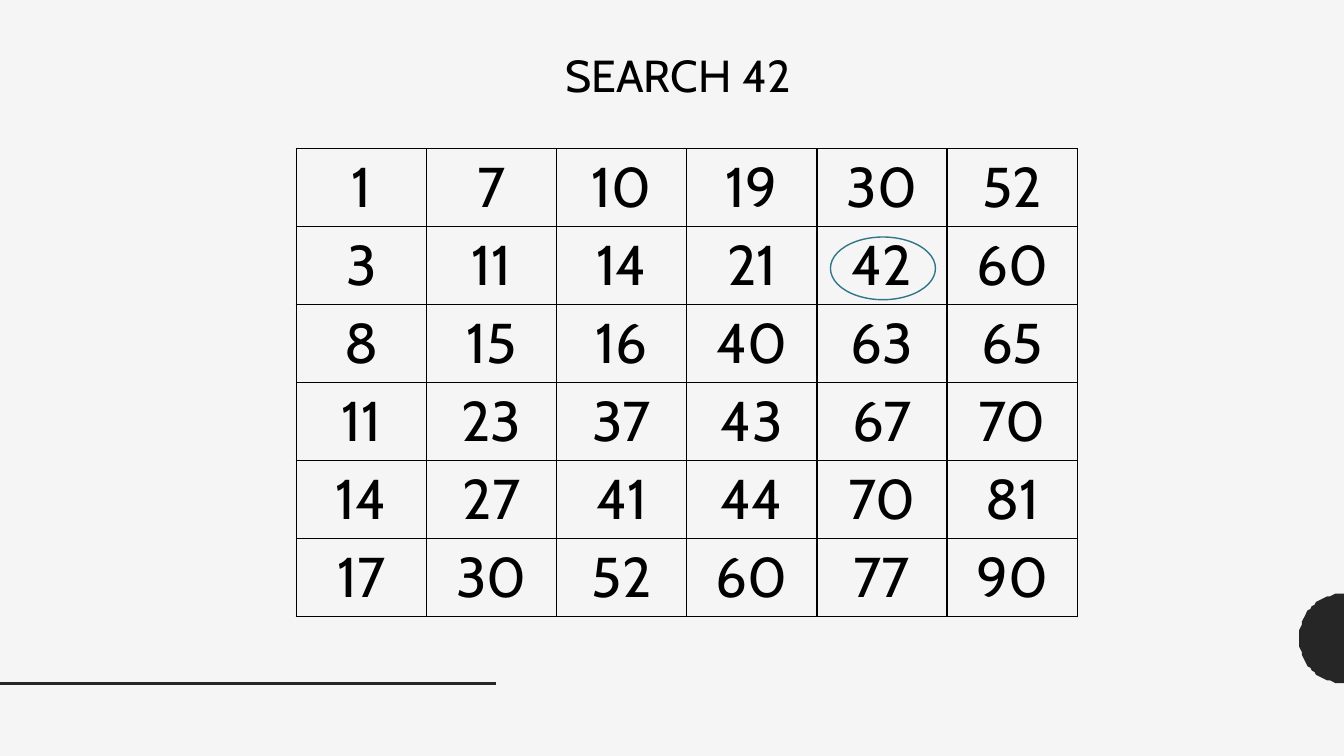
from dataclasses import dataclass
from math import cos, pi, sin

from lxml import etree
from pptx import Presentation
from pptx.dml.color import RGBColor
from pptx.enum import shapes, text
from pptx.oxml import ns
from pptx.util import Pt


@dataclass(frozen=True)
class Theme:
    background: RGBColor = RGBColor.from_string("F5F5F5")
    ink: RGBColor = RGBColor.from_string("000000")
    decoration: RGBColor = RGBColor.from_string("262626")
    highlight: RGBColor = RGBColor.from_string("327587")
    font: str = "Cabin"
    title_size: int = 32
    number_size: int = 40


theme = Theme()


def style_text(paragraph, size):
    for run in paragraph.runs:
        run.font.name = theme.font
        run.font.size = Pt(size)
        run.font.color.rgb = theme.ink


def add_cell_borders(cell):
    properties = cell._tc.get_or_add_tcPr()
    for position, side in enumerate(("lnL", "lnR", "lnT", "lnB")):
        border = etree.Element(ns.qn(f"a:{side}"), w=str(Pt(1)))
        fill = etree.SubElement(border, ns.qn("a:solidFill"))
        etree.SubElement(fill, ns.qn("a:srgbClr"), val=str(theme.ink))
        properties.insert(position, border)


presentation = Presentation()
presentation.slide_width, presentation.slide_height = Pt(960), Pt(540)
slide = presentation.slides.add_slide(presentation.slide_layouts[6])
slide.background.fill.solid()
slide.background.fill.fore_color.rgb = theme.background

# Half disc on the right edge
center_x, center_y, radius, steps = 960, 456, 32.2, 48
arc = [
    (center_x - radius * sin(pi * step / steps), center_y - radius * cos(pi * step / steps))
    for step in range(steps + 1)
]
builder = slide.shapes.build_freeform(*arc[0], scale=Pt(1))
builder.add_line_segments(arc[1:], close=True)
half_disc = builder.convert_to_shape()
half_disc.shadow.inherit = False
half_disc.fill.solid()
half_disc.fill.fore_color.rgb = theme.decoration
half_disc.line.fill.background()

# Rule at the lower left
rule = slide.shapes.add_connector(
    shapes.MSO_CONNECTOR.STRAIGHT, Pt(0), Pt(488), Pt(354.3), Pt(488)
)
rule.line.color.rgb = theme.decoration
rule.line.width = Pt(2)
etree.SubElement(rule._element.spPr, ns.qn("a:effectLst"))

# Sorted matrix
matrix = [
    [1, 7, 10, 19, 30, 52],
    [3, 11, 14, 21, 42, 60],
    [8, 15, 16, 40, 63, 65],
    [11, 23, 37, 43, 67, 70],
    [14, 27, 41, 44, 70, 81],
    [17, 30, 52, 60, 77, 90],
]
column_width, row_height = 93, 55.7
table = slide.shapes.add_table(
    len(matrix), len(matrix[0]), Pt(211.6), Pt(106.3),
    Pt(column_width * len(matrix[0])), Pt(row_height * len(matrix)),
).table
table.first_row = table.horz_banding = False
for column in table.columns:
    column.width = Pt(column_width)
for row, numbers in zip(table.rows, matrix):
    row.height = Pt(row_height)
    for cell, number in zip(row.cells, numbers):
        cell.fill.background()
        add_cell_borders(cell)
        paragraph = cell.text_frame.paragraphs[0]
        paragraph.text = str(number)
        paragraph.alignment = text.PP_ALIGN.CENTER
        style_text(paragraph, theme.number_size)

# Title
title = slide.shapes.add_textbox(Pt(396.7), Pt(30.2), Pt(468.7), Pt(46))
title.text_frame.word_wrap = True
title.text_frame.text = "SEARCH 42"
style_text(title.text_frame.paragraphs[0], theme.title_size)

# Ring around the number found
ring = slide.shapes.add_shape(
    shapes.MSO_SHAPE.OVAL, Pt(593.2), Pt(169.3), Pt(75), Pt(44.8)
)
ring.shadow.inherit = False
ring.fill.background()
ring.line.color.rgb = theme.highlight
ring.line.width = Pt(1)

presentation.save("out.pptx")
